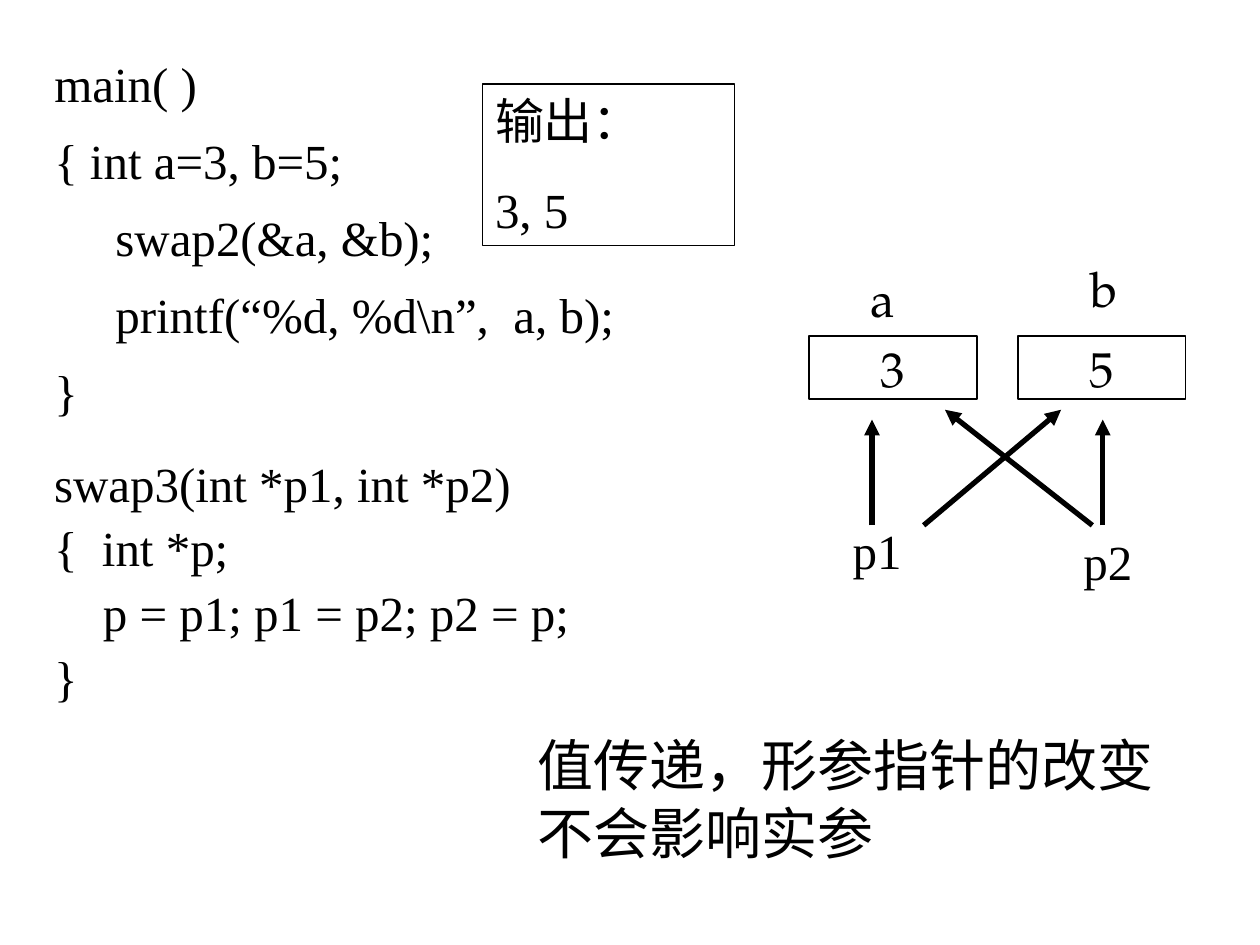
from lxml import etree
from pptx import Presentation
from pptx.dml.color import RGBColor
from pptx.enum.shapes import MSO_CONNECTOR, MSO_SHAPE
from pptx.enum.text import MSO_ANCHOR, MSO_AUTO_SIZE, PP_ALIGN
from pptx.oxml.ns import qn
from pptx.util import Cm, Pt

STRAIGHT = MSO_CONNECTOR.STRAIGHT
RECT = MSO_SHAPE.RECTANGLE
TOP, MIDDLE = MSO_ANCHOR.TOP, MSO_ANCHOR.MIDDLE
NO_FIT = MSO_AUTO_SIZE.NONE
LEFT, CENTER = PP_ALIGN.LEFT, PP_ALIGN.CENTER

BLACK = "000000"
SERIF, PALLADIO, MONO = "Times New Roman", "TeX Gyre Pagella", "Courier New"

MAIN_CODE = [
    "main( )",
    "{ int a=3, b=5;",
    "     swap2(&a, &b);",
    "     printf(“%d, %d\\n”,  a, b);",
    "}",
]
SWAP_CODE = [
    "swap3(int *p1, int *p2)",
    "{  int *p;",
    "    p = p1; p1 = p2; p2 = p;",
    "}",
]
OUTPUT = ["输出：", "3, 5"]
REMARK = ["值传递，形参指针的改变不会影响实参"]

CELLS = [("3", 16.31), ("5", 20.52)]
LABELS = [
    ("a", PALLADIO, 17.3, 5.28, 1.07, False),
    ("b", PALLADIO, 21.74, 5.08, 1.12, False),
    ("p1", SERIF, 16.94, 10.36, 2.11, True),
    ("p2", SERIF, 21.59, 10.59, 2.11, True),
]
ARROW_START = 10.59
ARROWS = [
    (18.62, 21.39, 8.26),
    (22.02, 19.05, 8.26),
    (17.58, 17.58, 8.46),
    (22.23, 22.23, 8.46),
]


def color(value):
    return RGBColor.from_string(value)


def write(shape, lines, font=SERIF, size=28, align=LEFT, anchor=TOP,
          wrap=True, before=0, spacing=1.0):
    tf = shape.text_frame
    tf.text = "\n".join(lines)
    tf.word_wrap = wrap
    tf.auto_size = NO_FIT
    tf.vertical_anchor = anchor
    for i, p in enumerate(tf.paragraphs):
        p.alignment = align
        p.line_spacing = spacing
        p.space_before = Pt(before if i else 0)
        for r in p.runs:
            r.font.name = font
            r.font.size = Pt(size)
            r.font.color.rgb = color(BLACK)


def add_text(s, box, lines, **style):
    write(s.shapes.add_textbox(*map(Cm, box)), lines, **style)


def add_box(s, box, lines, **style):
    sp = s.shapes.add_shape(RECT, *map(Cm, box))
    sp.shadow.inherit = False
    sp.fill.background()
    sp.line.color.rgb = color(BLACK)
    sp.line.width = Pt(1)
    write(sp, lines, **style)


def add_arrow(s, x1, y1, x2, y2):
    cx = s.shapes.add_connector(STRAIGHT, *map(Cm, (x1, y1, x2, y2)))
    cx.line.color.rgb = color(BLACK)
    cx.line.width = Pt(3)
    ln = cx.line._get_or_add_ln()
    etree.SubElement(ln, qn("a:tailEnd"), type="triangle")
    etree.SubElement(cx._element.spPr, qn("a:effectLst"))


def fill_body(body):
    body.left, body.top, body.width, body.height = map(
        Cm, (0.84, 0.84, 12.27, 7.82))
    write(body, MAIN_CODE, before=7, spacing=1.1)
    for p in body.text_frame.paragraphs:
        pPr = p._p.get_or_add_pPr()
        pPr.set("marL", str(Cm(0.95)))
        pPr.set("indent", str(-Cm(0.95)))
        etree.SubElement(pPr, qn("a:buNone"))


def main():
    prs = Presentation()
    prs.slide_width, prs.slide_height = Cm(25.4), Cm(19.05)
    s = prs.slides.add_slide(prs.slide_layouts[1])
    title = s.shapes.title._element
    title.getparent().remove(title)

    fill_body(s.placeholders[1])
    add_text(s, (0.84, 8.89, 13.97, 5.46), SWAP_CODE, spacing=1.1)
    add_box(s, (9.73, 1.7, 5.08, 3.25), OUTPUT, before=17.5)
    for value, x in CELLS:
        add_box(s, (x, 6.78, 3.38, 1.27), [value], font=PALLADIO,
                align=CENTER, anchor=MIDDLE, wrap=False)
    for name, font, x, y, width, wrap in LABELS:
        add_text(s, (x, y, width, 1.45), [name], font=font, wrap=wrap)
    for x1, x2, y2 in ARROWS:
        add_arrow(s, x1, ARROW_START, x2, y2)
    add_text(s, (10.59, 14.61, 13.97, 2.97), REMARK, font=MONO, size=32)

    prs.save("out.pptx")


if __name__ == "__main__":
    main()
